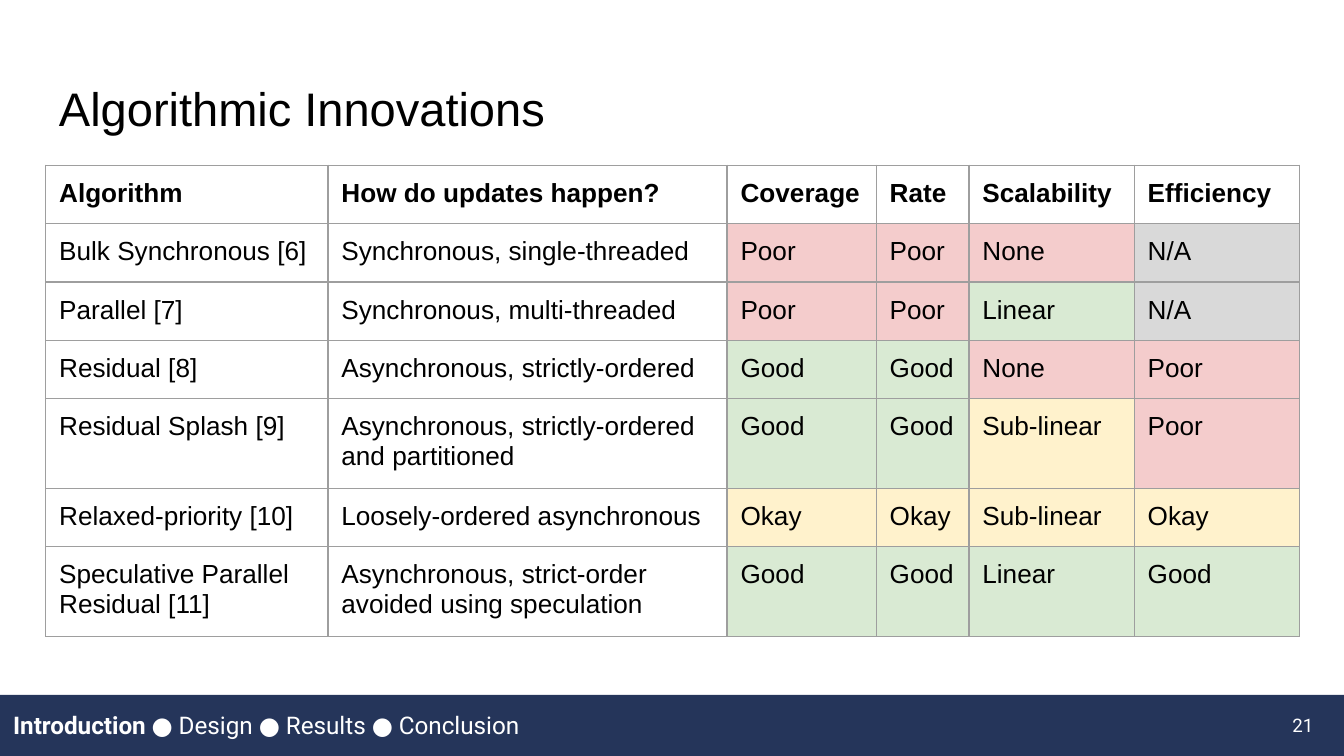
import pptx
import pptx.dml.color
import pptx.enum.shapes
import pptx.enum.text
import pptx.oxml
import pptx.oxml.ns
import pptx.util

RGBColor = pptx.dml.color.RGBColor
Inches = pptx.util.Inches
Pt = pptx.util.Pt
ANCHOR = pptx.enum.text.MSO_ANCHOR
ALIGN = pptx.enum.text.PP_ALIGN

BLACK = RGBColor(0x00, 0x00, 0x00)
WHITE = RGBColor(0xFF, 0xFF, 0xFF)
NAVY = RGBColor(0x25, 0x35, 0x5A)
GREY = RGBColor(0x9E, 0x9E, 0x9E)
RED_TINT = RGBColor(0xF4, 0xCC, 0xCC)
GREEN_TINT = RGBColor(0xD9, 0xEA, 0xD3)
YELLOW_TINT = RGBColor(0xFF, 0xF2, 0xCC)
GREY_TINT = RGBColor(0xD9, 0xD9, 0xD9)

# Each rating decides the colour of its cell
RATING_FILLS = {
    "Poor": RED_TINT, "None": RED_TINT,
    "Good": GREEN_TINT, "Linear": GREEN_TINT,
    "Okay": YELLOW_TINT, "Sub-linear": YELLOW_TINT,
    "N/A": GREY_TINT,
}

# Slide grid, in inches, on a 16:9 page
WIDTH = 10
HEIGHT = WIDTH * 9 / 16
MARGIN = 0.34
CONTENT_WIDTH = WIDTH - 2 * MARGIN
FOOTER_TOP = 5.17
FOOTER_TEXT_TOP, FOOTER_TEXT_HEIGHT = 5.18, 0.43
NUMBER_LEFT, NUMBER_WIDTH = 9.27, 0.6
INSET = 0.1

COLUMN_WIDTHS = [2.1, 2.97, 1.11, 0.69, 1.23, 1.23]
SINGLE, DOUBLE = 0.42, 0.63  # heights of one-line and two-line rows
ROW_HEIGHTS = [SINGLE, SINGLE, SINGLE, SINGLE, DOUBLE, SINGLE, DOUBLE]
ROWS = [
    ["Algorithm", "How do updates happen?", "Coverage", "Rate", "Scalability", "Efficiency"],
    ["Bulk Synchronous [6]", "Synchronous, single-threaded", "Poor", "Poor", "None", "N/A"],
    ["Parallel [7]", "Synchronous, multi-threaded", "Poor", "Poor", "Linear", "N/A"],
    ["Residual [8]", "Asynchronous, strictly-ordered", "Good", "Good", "None", "Poor"],
    ["Residual Splash [9]", "Asynchronous, strictly-ordered and partitioned",
     "Good", "Good", "Sub-linear", "Poor"],
    ["Relaxed-priority [10]", "Loosely-ordered asynchronous",
     "Okay", "Okay", "Sub-linear", "Okay"],
    ["Speculative Parallel Residual [11]", "Asynchronous, strict-order avoided using speculation",
     "Good", "Good", "Linear", "Good"],
]


def add_run(p, text, size, font, color, bold=False):
    r = p.add_run()
    r.text = text
    r.font.size = Pt(size)
    r.font.name = font
    r.font.bold = bold
    r.font.color.rgb = color


def set_insets(box):
    box.margin_left = box.margin_right = Inches(INSET)
    box.margin_top = box.margin_bottom = Inches(INSET)


def add_text(s, left, top, width, height, align=ALIGN.LEFT):
    """Add an empty text box and return its first paragraph."""
    tf = s.shapes.add_textbox(*map(Inches, (left, top, width, height))).text_frame
    tf.word_wrap = True
    tf.vertical_anchor = ANCHOR.MIDDLE
    set_insets(tf)
    p = tf.paragraphs[0]
    p.alignment = align
    return p


def add_bar(s, top, height, color):
    sp = s.shapes.add_shape(pptx.enum.shapes.MSO_SHAPE.RECTANGLE,
                            0, Inches(top), Inches(WIDTH), Inches(height))
    sp.shadow.inherit = False
    sp.fill.solid()
    sp.fill.fore_color.rgb = color
    sp.line.fill.background()


def set_borders(cell, color, width):
    tcPr = cell._tc.get_or_add_tcPr()
    for i, side in enumerate(("lnL", "lnR", "lnT", "lnB")):
        tcPr.insert(i, pptx.oxml.parse_xml(
            f'<a:{side} {pptx.oxml.ns.nsdecls("a")} w="{Pt(width)}">'
            f'<a:solidFill><a:srgbClr val="{color}"/></a:solidFill></a:{side}>'))


def add_table(s, left, top):
    table = s.shapes.add_table(
        len(ROWS), len(COLUMN_WIDTHS), Inches(left), Inches(top),
        Inches(CONTENT_WIDTH), Inches(sum(ROW_HEIGHTS))).table
    table.first_row = table.horz_banding = False
    for column, width in zip(table.columns, COLUMN_WIDTHS):
        column.width = Inches(width)
    for i, row in enumerate(ROWS):
        table.rows[i].height = Inches(ROW_HEIGHTS[i])
        for j, text in enumerate(row):
            cell = table.cell(i, j)
            set_insets(cell)
            add_run(cell.text_frame.paragraphs[0], text, 14, "Arial", BLACK, bold=i == 0)
            if text in RATING_FILLS:
                cell.fill.solid()
                cell.fill.fore_color.rgb = RATING_FILLS[text]
            else:
                cell.fill.background()
            set_borders(cell, GREY, 0.75)


def main():
    prs = pptx.Presentation()
    prs.slide_width, prs.slide_height = Inches(WIDTH), Inches(HEIGHT)
    s = prs.slides.add_slide(prs.slide_layouts[6])

    # Footer: bar, slide number and section tracker
    add_bar(s, FOOTER_TOP, HEIGHT - FOOTER_TOP, NAVY)
    p = add_text(s, NUMBER_LEFT, FOOTER_TEXT_TOP, NUMBER_WIDTH, FOOTER_TEXT_HEIGHT, ALIGN.RIGHT)
    add_run(p, "21", 10, "Roboto", WHITE)
    p = add_text(s, 0, FOOTER_TEXT_TOP, NUMBER_LEFT, FOOTER_TEXT_HEIGHT)
    add_run(p, "Introduction ", 13, "Roboto", WHITE, bold=True)
    add_run(p, "● Design ● Results ● Conclusion", 13, "Roboto", WHITE)

    # Title and comparison table
    p = add_text(s, MARGIN, 0.49, CONTENT_WIDTH, 0.63)
    add_run(p, "Algorithmic Innovations", 25.2, "Arial", BLACK)
    add_table(s, MARGIN, 1.23)

    prs.save("out.pptx")


if __name__ == "__main__":
    main()
